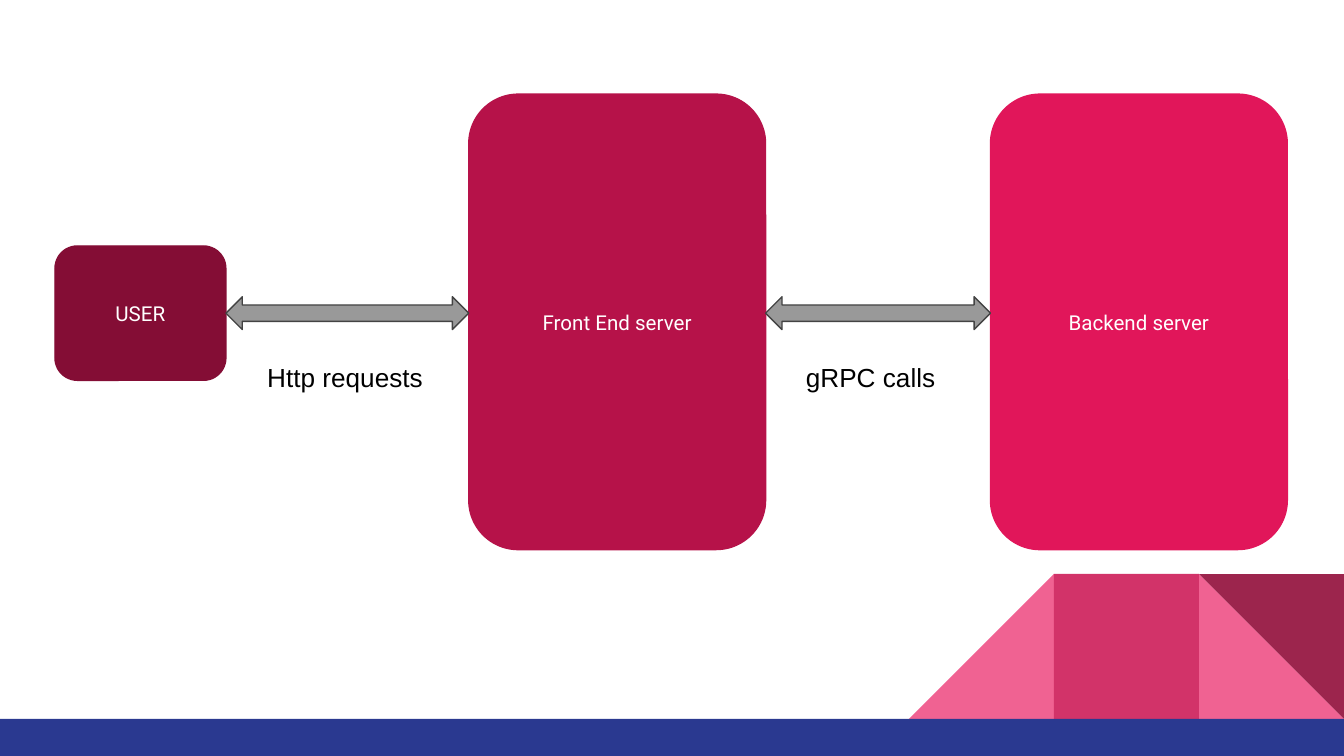
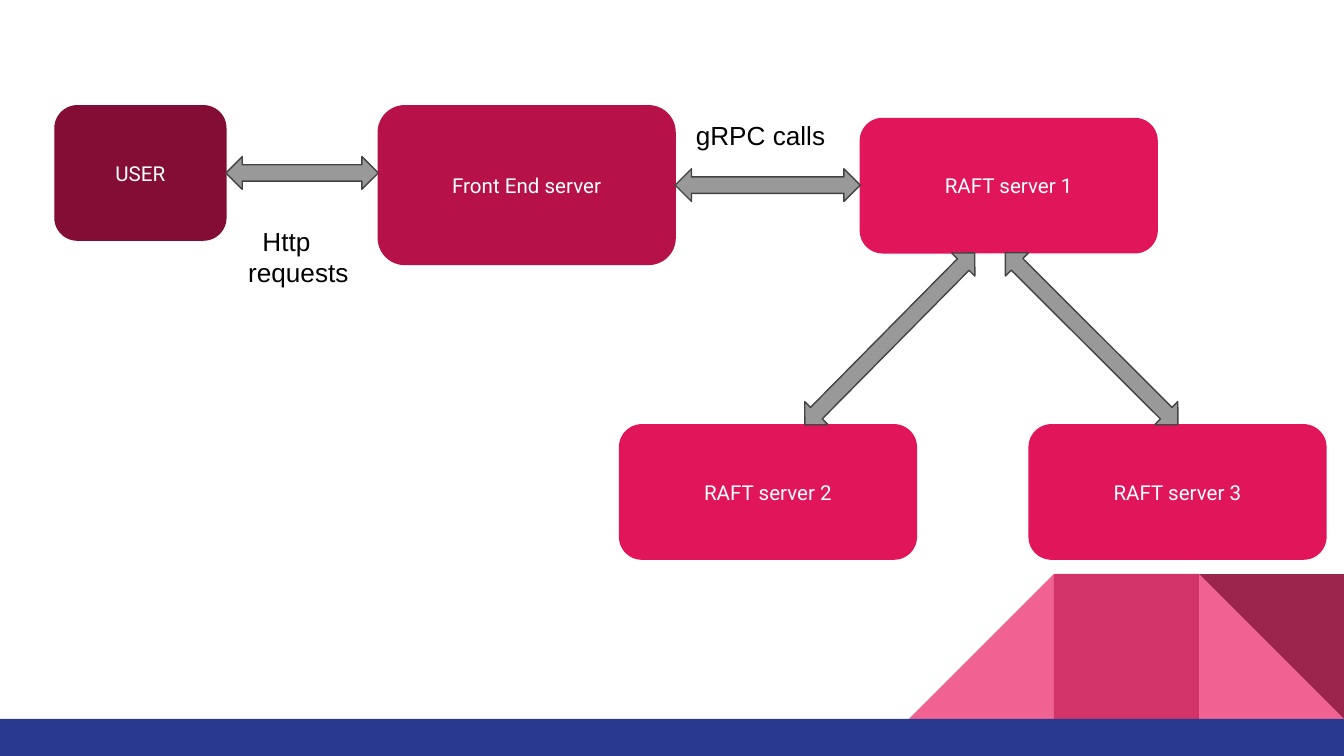
from dataclasses import dataclass
from math import atan2, degrees, hypot

from pptx import Presentation
from pptx.dml.color import RGBColor
from pptx.enum.shapes import MSO_SHAPE as SHAPE
from pptx.enum.text import MSO_ANCHOR as ANCHOR, PP_ALIGN as ALIGN
from pptx.util import Cm, Pt

SLIDE_W, SLIDE_H = 25.4, 14.29
BLANK_LAYOUT = 6


@dataclass(frozen=True)
class Theme:
    user: str = "840D35"
    front: str = "B61249"
    backend: str = "E1165A"
    arrow: str = "999999"
    arrow_line: str = "434343"
    band: str = "2A3990"
    facet_light: str = "F06292"
    facet_mid: str = "D23369"
    facet_dark: str = "9C254D"
    box_text: str = "FFFFFF"
    label_text: str = "000000"
    box_font: str = "Roboto"
    label_font: str = "Arial"
    box_size: float = 11
    label_size: float = 14
    line_width: float = 0.75
    inset: float = 0.25
    arrow_height: float = 0.62


class Deck:
    def __init__(self, theme):
        self.theme = theme
        self.prs = Presentation()
        self.prs.slide_width, self.prs.slide_height = Cm(SLIDE_W), Cm(SLIDE_H)
        self.slide = None

    def new_slide(self):
        self.slide = self.prs.slides.add_slide(self.prs.slide_layouts[BLANK_LAYOUT])
        self.decorate()

    def decorate(self):
        """Draw the bottom band and the faceted corner standing on it."""
        t, side, band_top = self.theme, 2.74, 13.59
        top = band_top - side
        left, middle, right = (SLIDE_W - n * side for n in (3, 2, 1))
        self.shape(SHAPE.RIGHT_TRIANGLE, right, top, side, side, t.facet_light)
        sp = self.shape(SHAPE.RIGHT_TRIANGLE, left, top, side, side, t.facet_light)
        sp._element.spPr.get_or_add_xfrm().set("flipH", "1")
        self.shape(SHAPE.RECTANGLE, middle, top, side, side, t.facet_mid)
        sp = self.shape(SHAPE.RIGHT_TRIANGLE, right, top, side, side, t.facet_dark)
        sp.rotation = 180
        self.shape(SHAPE.RECTANGLE, 0, band_top, SLIDE_W, SLIDE_H - band_top, t.band)

    def shape(self, kind, x, y, w, h, fill, line=None):
        sp = self.slide.shapes.add_shape(kind, Cm(x), Cm(y), Cm(w), Cm(h))
        sp.shadow.inherit = False
        sp.fill.solid()
        sp.fill.fore_color.rgb = RGBColor.from_string(fill)
        if line:
            sp.line.color.rgb = RGBColor.from_string(line)
            sp.line.width = Pt(self.theme.line_width)
        else:
            sp.line.fill.background()
        return sp

    def set_text(self, sp, text, font, size, color, align, anchor):
        tf = sp.text_frame
        tf.word_wrap = True
        tf.vertical_anchor = anchor
        tf.margin_left = tf.margin_right = Cm(self.theme.inset)
        tf.margin_top = tf.margin_bottom = Cm(self.theme.inset)
        tf.text = text
        p = tf.paragraphs[0]
        p.alignment = align
        f = p.runs[0].font
        f.name, f.size = font, Pt(size)
        f.color.rgb = RGBColor.from_string(color)
        return p

    def box(self, text, x, y, w, h, fill):
        t = self.theme
        sp = self.shape(SHAPE.ROUNDED_RECTANGLE, x, y, w, h, fill, fill)
        self.set_text(sp, text, t.box_font, t.box_size, t.box_text, ALIGN.CENTER, ANCHOR.MIDDLE)
        return sp

    def user(self, y):
        return self.box("USER", 1.04, y, 3.23, 2.54, self.theme.user)

    def server(self, text, x, y, h, fill):
        return self.box(text, x, y, 5.61, h, fill)

    def label(self, text, x, y, w, h, indent=0):
        t = self.theme
        sp = self.slide.shapes.add_textbox(Cm(x), Cm(y), Cm(w), Cm(h))
        p = self.set_text(sp, text, t.label_font, t.label_size, t.label_text,
                          ALIGN.LEFT, ANCHOR.TOP)
        if indent:
            p._p.get_or_add_pPr().set("indent", str(Cm(indent)))

    def arrow(self, x1, y1, x2, y2):
        """Draw a double-headed block arrow between two points."""
        t = self.theme
        length, h = hypot(x2 - x1, y2 - y1), t.arrow_height
        sp = self.shape(SHAPE.LEFT_RIGHT_ARROW, (x1 + x2 - length) / 2, (y1 + y2 - h) / 2,
                        length, h, t.arrow, t.arrow_line)
        sp.rotation = degrees(atan2(y2 - y1, x2 - x1))

    def link(self, a, b, level=None):
        """Join the facing sides of two boxes at the mid-height of level, or of a."""
        level = level or a
        y = (level.top + level.height / 2) / Cm(1)
        self.arrow((a.left + a.width) / Cm(1), y, b.left / Cm(1), y)


def client_server(deck):
    t = deck.theme
    deck.new_slide()
    user = deck.user(4.65)
    front = deck.server("Front End server", 8.86, 1.78, 8.61, t.front)
    backend = deck.server("Backend server", 18.72, 1.78, 8.61, t.backend)
    deck.label("Http requests", 4.8, 6.58, 3.5, 1.14)
    deck.label("gRPC calls", 14.98, 6.58, 3.23, 1.14)
    deck.link(user, front)
    deck.link(front, backend, level=user)


def raft_cluster(deck):
    t = deck.theme
    raft_h, raft_top, peer_top = 2.54, 2.24, 8.03
    deck.new_slide()
    user = deck.user(2)
    front = deck.server("Front End server", 7.15, 2, 3, t.front)
    raft = [deck.server(f"RAFT server {n}", x, y, raft_h, t.backend)
            for n, x, y in ((1, 16.26, raft_top), (2, 11.71, peer_top), (3, 19.45, peer_top))]
    deck.label("Http requests", 4.44, 4.01, 2.57, 1.78, indent=0.27)
    deck.label("gRPC calls", 12.9, 2, 3.23, 1.14)
    deck.link(user, front)
    deck.link(front, raft[0])
    for start, end in ((19, 22.26), (18.42, 15.21)):
        deck.arrow(start, raft_top + raft_h, end, peer_top)


def main():
    deck = Deck(Theme())
    client_server(deck)
    raft_cluster(deck)
    deck.prs.save("out.pptx")


if __name__ == "__main__":
    main()
